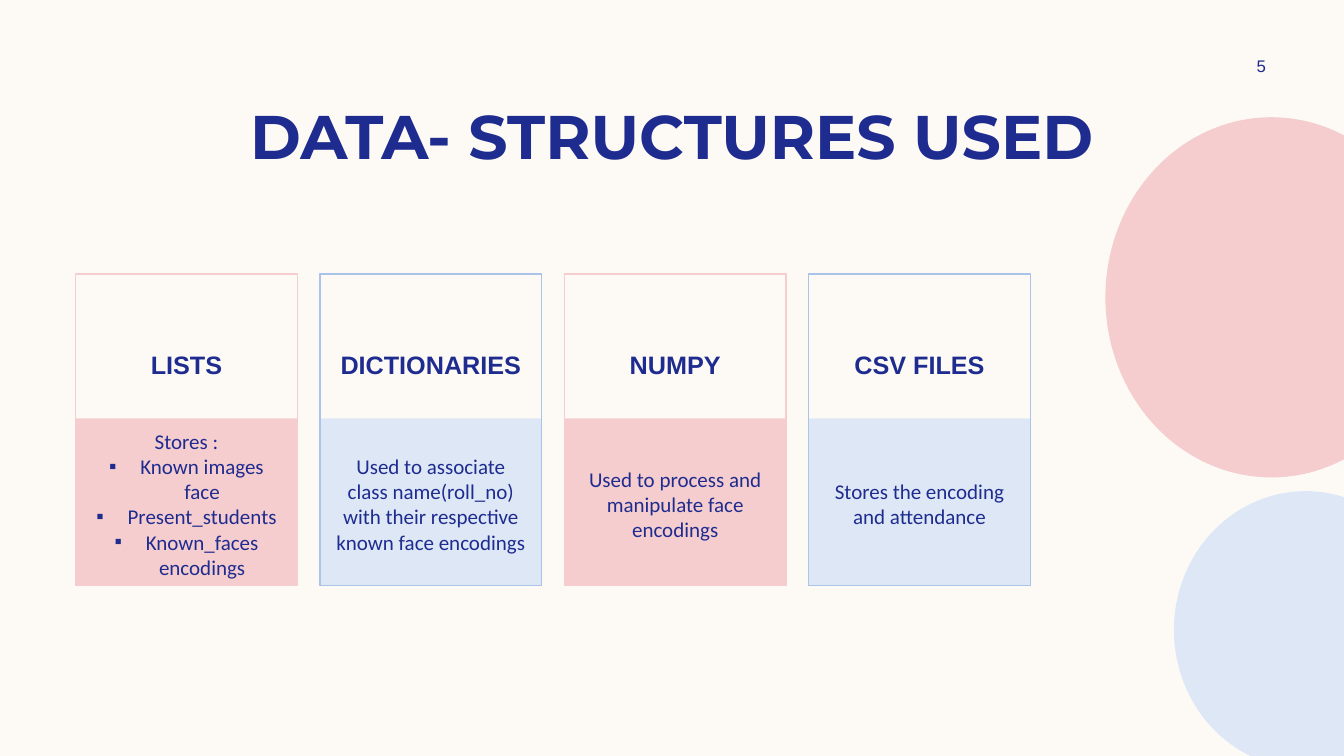
from lxml import etree
from pptx import Presentation
from pptx.dml.color import RGBColor
from pptx.enum.shapes import MSO_SHAPE
from pptx.enum.text import MSO_ANCHOR, MSO_AUTO_SIZE, PP_ALIGN
from pptx.oxml.ns import qn
from pptx.util import Inches, Pt

RECTANGLE = MSO_SHAPE.RECTANGLE
OVAL = MSO_SHAPE.OVAL
TOP = MSO_ANCHOR.TOP
MIDDLE = MSO_ANCHOR.MIDDLE
CENTER = PP_ALIGN.CENTER
NO_AUTOSIZE = MSO_AUTO_SIZE.NONE

CREAM, NAVY = "FDFAF6", "1F2C8F"
PINK, PALE_BLUE, BLUE = "F5CDCE", "DDE7F6", "AAC3E8"

CARD_LEFT, CARD_TOP, CARD_WIDTH, CARD_HEIGHT = 0.75, 2.72, 2.2, 3.09
CARD_PITCH = 7.27 / 3
PANEL_TOP, PANEL_HEIGHT = 4.15, 1.66
BULLET = "▪"
BULLET_INDENT = 0.31

CARDS = [
    ("LISTS", ["Stores :", "▪Known images face", "▪Present_students",
               "▪Known_faces encodings"]),
    ("DICTIONARIES", ["Used to associate class name(roll_no) with their "
                      "respective known face encodings"]),
    ("NUMPY", ["Used to process and manipulate face encodings"]),
    ("CSV FILES", ["Stores the encoding and attendance"]),
]
CARD_COLORS = [(PINK, PINK), (PALE_BLUE, BLUE)]


def color(hex_string):
    return RGBColor.from_string(hex_string)


class SlideBuilder:
    def __init__(self, slide):
        self.slide = slide
        background = slide.background.fill
        background.solid()
        background.fore_color.rgb = color(CREAM)

    def shape(self, kind, box, fill=None, line=None):
        shape = self.slide.shapes.add_shape(kind, *map(Inches, box))
        shape.shadow.inherit = False
        if fill:
            shape.fill.solid()
            shape.fill.fore_color.rgb = color(fill)
        else:
            shape.fill.background()
        if line:
            shape.line.color.rgb = color(line)
            shape.line.width = Pt(1)
        else:
            shape.line.fill.background()
        return shape

    def text_box(self, box):
        return self.slide.shapes.add_textbox(*map(Inches, box))

    def placeholder(self, index, box):
        shape = self.slide.placeholders[index]
        shape.left, shape.top, shape.width, shape.height = map(Inches, box)
        shape._element.getparent().append(shape._element)
        return shape

    def set_text(self, shape, lines, size, font, bold=False, anchor=MIDDLE, top_inset=0.05):
        frame = shape.text_frame
        frame.word_wrap = True
        frame.auto_size = NO_AUTOSIZE
        frame.vertical_anchor = anchor
        frame.margin_top = Inches(top_inset)
        frame.text = "\n".join(line.removeprefix(BULLET) for line in lines)
        for line, paragraph in zip(lines, frame.paragraphs):
            paragraph.alignment = CENTER
            paragraph.space_before = Pt(0)
            paragraph.font.size = Pt(size)
            paragraph.font.name = font
            paragraph.font.bold = bold
            paragraph.font.color.rgb = color(NAVY)
            self.set_bullet(paragraph, line.startswith(BULLET))

    def set_bullet(self, paragraph, bulleted):
        properties = paragraph._p.get_or_add_pPr()
        indent = Inches(BULLET_INDENT) if bulleted else 0
        properties.set("marL", str(indent))
        properties.set("indent", str(-indent))
        bullet = etree.Element(qn("a:buChar" if bulleted else "a:buNone"))
        if bulleted:
            bullet.set("char", BULLET)
        properties.find(qn("a:defRPr")).addprevious(bullet)

    def card(self, index, heading, lines):
        left = CARD_LEFT + index * CARD_PITCH
        fill, line = CARD_COLORS[index % 2]
        self.shape(RECTANGLE, (left, PANEL_TOP, CARD_WIDTH, PANEL_HEIGHT), fill)
        frame = self.shape(RECTANGLE, (left, CARD_TOP, CARD_WIDTH, CARD_HEIGHT), line=line)
        self.set_text(frame, [heading], 18, "Arial", bold=True, anchor=TOP, top_inset=0.75)
        box = (left + 0.05, PANEL_TOP + 0.1, CARD_WIDTH - 0.1, 1.5)
        description = self.placeholder(1, box) if len(lines) > 1 else self.text_box(box)
        self.set_text(description, lines, 15, "Calibri")


def main():
    presentation = Presentation()
    presentation.slide_width = Inches(13.33)
    presentation.slide_height = Inches(7.5)
    builder = SlideBuilder(presentation.slides.add_slide(presentation.slide_layouts[1]))

    title = builder.placeholder(0, (0.83, 0.92, 11.67, 0.84))
    builder.set_text(title, ["DATA- STRUCTURES USED"], 44, "Montserrat", bold=True)
    page_number = builder.text_box((11.97, 0.5, 1.08, 0.3))
    builder.set_text(page_number, ["5"], 12, "Arial")

    for index, (heading, lines) in enumerate(CARDS):
        builder.card(index, heading, lines)

    builder.shape(OVAL, (10.97, 1.17, 3.28, 3.56), PINK, PINK)
    builder.shape(OVAL, (11.65, 4.88, 2.6, 2.74), PALE_BLUE, PALE_BLUE)
    presentation.save("out.pptx")


if __name__ == "__main__":
    main()
